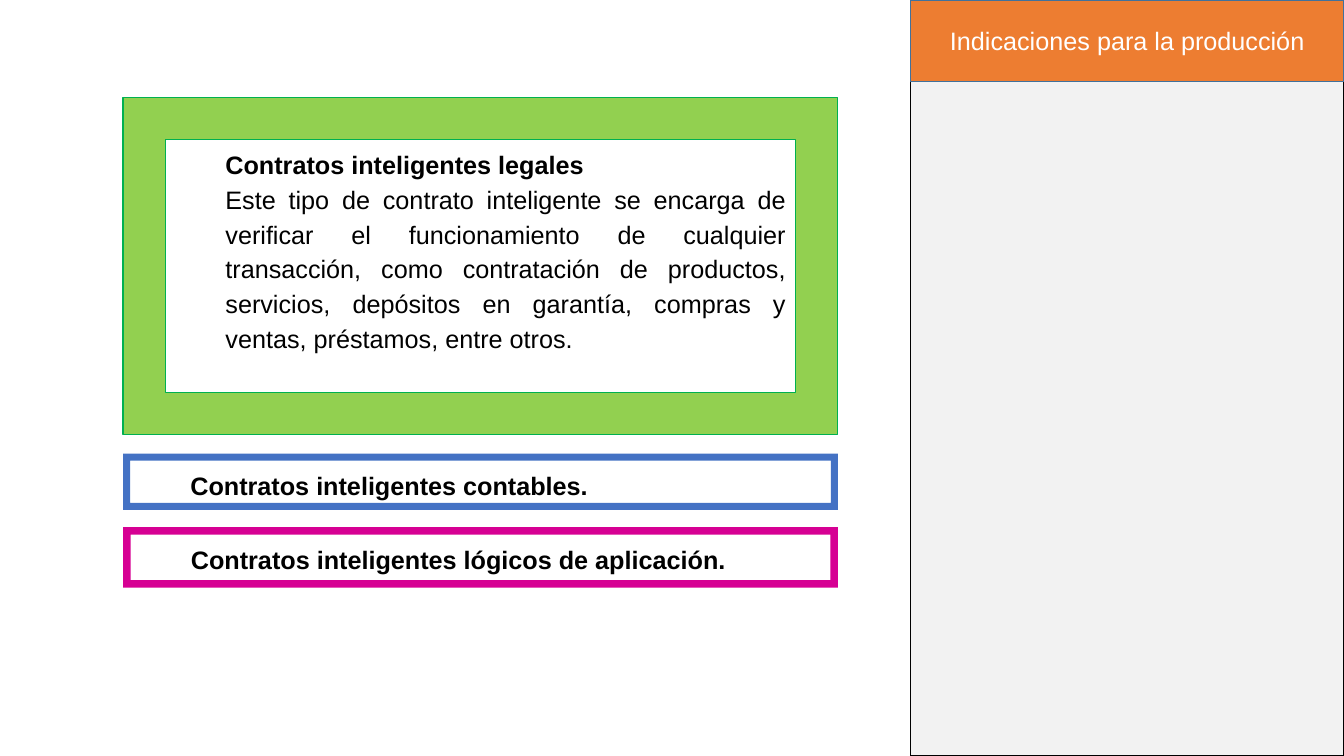
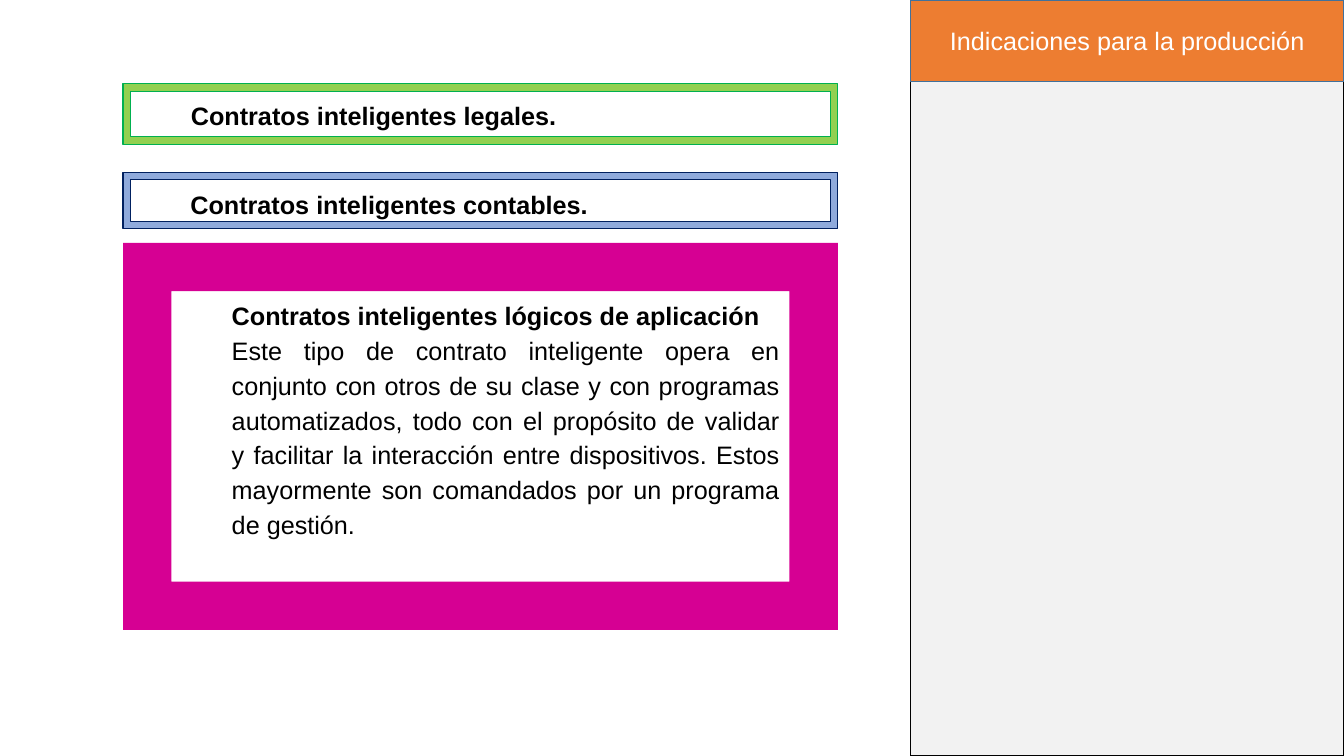
"""Build two slides of framed smart contract types beside a production notes panel."""
import dataclasses
import typing

import pptx
import pptx.dml.color
import pptx.enum.shapes
import pptx.enum.text
import pptx.util

Inches = pptx.util.Inches
Shapes = pptx.enum.shapes.MSO_SHAPE
Align = pptx.enum.text.PP_ALIGN
Anchor = pptx.enum.text.MSO_ANCHOR

SLIDE_WIDTH, SLIDE_HEIGHT = 13.33, 7.5
PANEL_LEFT, BAND_HEIGHT = 9.03, 0.81
PANEL_WIDTH = SLIDE_WIDTH - PANEL_LEFT
FRAME_LEFT, FRAME_WIDTH = 1.22, 7.09

FONT = "Arial"
BLACK, WHITE = "000000", "FFFFFF"
PANEL_GREY, PANEL_ORANGE, BAND_LINE = "F2F2F2", "ED7D31", "42719B"
GREEN, GREEN_LINE = "92D050", "00B050"
BLUE, PALE_BLUE, NAVY = "4472C4", "8FAADC", "002060"
MAGENTA = "D60093"


@dataclasses.dataclass(frozen=True)
class ContractFrame:
    top: float
    height: float
    fill: str
    title: str
    body: str = ""
    line: typing.Optional[str] = None


SLIDES = [
    [
        ContractFrame(
            0.97, 3.34, GREEN, "Contratos inteligentes legales",
            "Este tipo de contrato inteligente se encarga de verificar el "
            "funcionamiento de cualquier transacción, como contratación de "
            "productos, servicios, depósitos en garantía, compras y ventas, "
            "préstamos, entre otros.",
            line=GREEN_LINE,
        ),
        ContractFrame(4.5, 0.56, BLUE, "Contratos inteligentes contables."),
        ContractFrame(5.23, 0.6, MAGENTA, "Contratos inteligentes lógicos de aplicación."),
    ],
    [
        ContractFrame(0.83, 0.6, GREEN, "Contratos inteligentes legales.", line=GREEN_LINE),
        ContractFrame(1.71, 0.56, PALE_BLUE, "Contratos inteligentes contables.", line=NAVY),
        ContractFrame(
            2.41, 3.84, MAGENTA, "Contratos inteligentes lógicos de aplicación",
            "Este tipo de contrato inteligente opera en conjunto con otros de "
            "su clase y con programas automatizados, todo con el propósito de "
            "validar y facilitar la interacción entre dispositivos. Estos "
            "mayormente son comandados por un programa de gestión.",
        ),
    ],
]


def rgb(value: str) -> pptx.dml.color.RGBColor:
    return pptx.dml.color.RGBColor.from_string(value)


def add_box(slide, kind, left: float, top: float, width: float, height: float, *,
            fill: str, line: typing.Optional[str] = None, line_width: float = 1):
    shape = slide.shapes.add_shape(
        kind, Inches(left), Inches(top), Inches(width), Inches(height))
    shape.shadow.inherit = False
    shape.fill.solid()
    shape.fill.fore_color.rgb = rgb(fill)
    if line:
        shape.line.color.rgb = rgb(line)
        shape.line.width = pptx.util.Pt(line_width)
    else:
        shape.line.fill.background()
    return shape


def write(paragraph, text: str, *, color: str = BLACK, bold: bool = False,
          align=Align.JUSTIFY, indent: float = 0, spacing: float = 1) -> None:
    paragraph.alignment = align
    paragraph.line_spacing = spacing
    properties = paragraph._p.get_or_add_pPr()
    properties.set("marL", str(Inches(indent)))
    properties.set("indent", "0")
    run = paragraph.add_run()
    run.text = text
    run.font.name = FONT
    run.font.size = pptx.util.Pt(18)
    run.font.bold = bold
    run.font.color.rgb = rgb(color)


def add_panel(slide) -> None:
    add_box(slide, Shapes.RECTANGLE, PANEL_LEFT, 0, PANEL_WIDTH, SLIDE_HEIGHT,
            fill=PANEL_GREY, line=BLACK)
    band = add_box(slide, Shapes.RECTANGLE, PANEL_LEFT, 0, PANEL_WIDTH, BAND_HEIGHT,
                   fill=PANEL_ORANGE, line=BAND_LINE)
    band.text_frame.word_wrap = True
    band.text_frame.vertical_anchor = Anchor.MIDDLE
    write(band.text_frame.paragraphs[0], "Indicaciones para la producción",
          color=WHITE, align=Align.CENTER)


def add_contract(slide, contract: ContractFrame) -> None:
    shape = add_box(slide, Shapes.FRAME, FRAME_LEFT, contract.top, FRAME_WIDTH,
                    contract.height, fill=contract.fill, line=contract.line,
                    line_width=0.75)
    text_frame = shape.text_frame
    text_frame.word_wrap = True
    text_frame.vertical_anchor = Anchor.TOP
    text_frame.auto_size = pptx.enum.text.MSO_AUTO_SIZE.SHAPE_TO_FIT_TEXT
    write(text_frame.paragraphs[0], contract.title, bold=True, indent=0.5, spacing=1.15)
    if contract.body:
        write(text_frame.add_paragraph(), contract.body, indent=0.5, spacing=1.15)


def main() -> None:
    presentation = pptx.Presentation()
    presentation.slide_width = Inches(SLIDE_WIDTH)
    presentation.slide_height = Inches(SLIDE_HEIGHT)
    for contracts in SLIDES:
        slide = presentation.slides.add_slide(presentation.slide_layouts[6])
        add_panel(slide)
        for contract in contracts:
            add_contract(slide, contract)
    presentation.save("out.pptx")


main()
